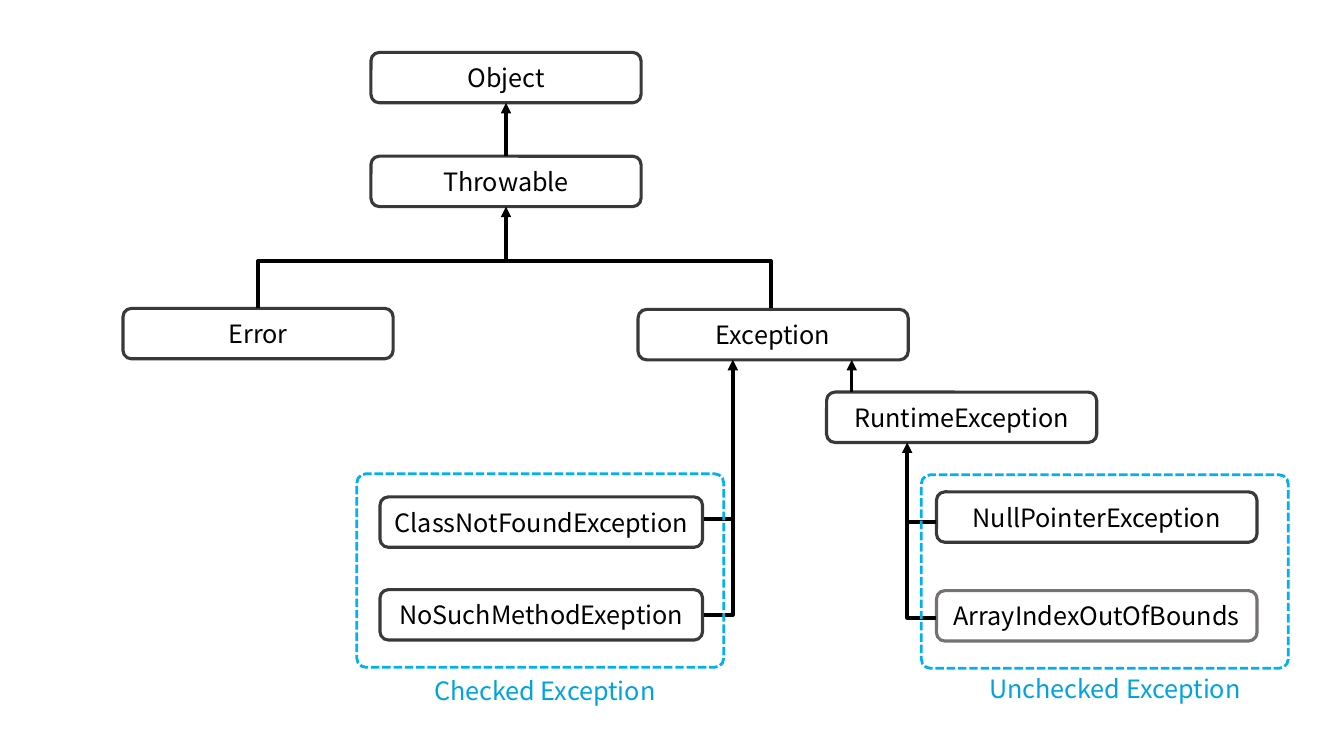
from dataclasses import dataclass

from lxml.etree import SubElement
from pptx import Presentation
from pptx.dml.color import RGBColor
from pptx.enum.dml import MSO_LINE
from pptx.enum.shapes import MSO_CONNECTOR, MSO_SHAPE
from pptx.enum.text import MSO_ANCHOR, MSO_AUTO_SIZE, PP_ALIGN
from pptx.oxml.ns import qn
from pptx.util import Inches, Pt

FONT = "Noto Sans CJK KR"
BLACK = RGBColor(0x00, 0x00, 0x00)
CHARCOAL = RGBColor(0x3B, 0x38, 0x38)
GRAY = RGBColor(0x76, 0x71, 0x71)
SKY = RGBColor(0x00, 0xB0, 0xF0)
LABEL_BLUE = RGBColor(0x00, 0xA3, 0xDF)

# Grid of square cells, ten to the inch
COLUMNS, ROWS = 133.33, 75
CLASS_WIDTH, CLASS_HEIGHT = 26.8, 5
FAMILY_WIDTH, FAMILY_HEIGHT = 36.4, 19.2
BRACKET_WIDTH, BRACKET_HEIGHT = 2.9, 9.5
TOP, BOTTOM = 0, 2


@dataclass
class Family:
    """A dashed group of classes; offsets are cells from its corner."""
    label: str
    label_box: tuple
    classes: tuple
    inset: float
    class_rows: tuple
    class_width: float
    bracket_left: float
    bracket_top: float
    opens_left: bool


CHECKED = Family(
    "Checked Exception", (6, 19.5, 25.3, 4),
    (("ClassNotFoundException", CHARCOAL), ("NoSuchMethodExeption", CHARCOAL)),
    2.3, (2.3, 11.5), 32, 34.4, 4.5, True)
UNCHECKED = Family(
    "Unchecked Exception", (4, 19.2, 30.4, 4),
    (("NullPointerException", CHARCOAL), ("ArrayIndexOutOfBounds", GRAY)),
    1.5, (1.7, 11.5), 31.8, -1.4, 4.7, False)


def cells(count):
    return Inches(count / 10)


def write(shape, text, color):
    paragraph = shape.text_frame.paragraphs[0]
    paragraph.alignment = PP_ALIGN.CENTER
    run = paragraph.add_run()
    run.text = text
    run.font.name = FONT
    run.font.size = Pt(18)
    run.font.color.rgb = color


def add_outline(slide, kind, box, color, width):
    shape = slide.shapes.add_shape(kind, *map(cells, box))
    shape.shadow.inherit = False
    shape.fill.background()
    shape.line.color.rgb = color
    shape.line.width = Pt(width)
    return shape


def add_class(slide, name, left, top, width=CLASS_WIDTH, color=CHARCOAL):
    shape = add_outline(slide, MSO_SHAPE.ROUNDED_RECTANGLE,
                        (left, top, width, CLASS_HEIGHT), color, 2.25)
    shape.text_frame.word_wrap = True
    shape.text_frame.vertical_anchor = MSO_ANCHOR.MIDDLE
    write(shape, name, BLACK)
    return shape


def add_bracket(slide, box, rotation=0):
    bracket = add_outline(slide, MSO_SHAPE.LEFT_BRACKET, box, BLACK, 2.5)
    bracket.adjustments[0] = 0
    bracket.rotation = rotation


def add_arrow(slide, x, start_y, end_y):
    """Draw a vertical inheritance arrow with its head at end_y."""
    arrow = slide.shapes.add_connector(
        MSO_CONNECTOR.STRAIGHT, cells(x), cells(start_y), cells(x), cells(end_y))
    arrow.line.color.rgb = BLACK
    arrow.line.width = Pt(2.5)
    SubElement(arrow.line._get_or_add_ln(), qn("a:tailEnd"), type="triangle")
    SubElement(arrow._element.spPr, qn("a:effectLst"))
    return arrow


def add_hierarchy(slide, left, top):
    """Place the upper classes and their arrows from the given corner."""
    root_left = left + 24.6
    middle = root_left + CLASS_WIDTH / 2
    throwable_top = top + 10.3
    throwable_bottom = throwable_top + CLASS_HEIGHT
    branch_top, branch_bottom = top + 20.7, top + 25.4
    exception_left, exception_top = left + 51.1, top + 25.5
    runtime_top = top + 33.7

    root = add_class(slide, "Object", root_left, top)
    throwable = add_class(slide, "Throwable", root_left, throwable_top)
    add_class(slide, "Error", left, branch_bottom)
    add_class(slide, "Exception", exception_left, exception_top)
    add_class(slide, "RuntimeException", left + 69.8, runtime_top)

    # Arrows up the trunk
    to_root = add_arrow(slide, middle, throwable_top, top + CLASS_HEIGHT)
    to_root.begin_connect(throwable, TOP)
    to_root.end_connect(root, BOTTOM)
    to_throwable = add_arrow(slide, middle, branch_top, throwable_bottom)
    to_throwable.end_connect(throwable, BOTTOM)

    # Fork: an upright bracket turned a quarter about its centre
    span, depth = 50.9, branch_bottom - branch_top
    fork_center_x = left + CLASS_WIDTH / 2 + span / 2
    fork_center_y = (branch_top + branch_bottom) / 2
    add_bracket(slide, (fork_center_x - depth / 2, fork_center_y - span / 2,
                        depth, span), 90)

    add_arrow(slide, left + 72.3, runtime_top, exception_top + CLASS_HEIGHT)
    return exception_top + CLASS_HEIGHT, runtime_top + CLASS_HEIGHT


def add_family(slide, left, top, family, parent_bottom):
    """Place a dashed group, its classes, bracket, arrow and label."""
    for (name, color), row in zip(family.classes, family.class_rows):
        add_class(slide, name, left + family.inset, top + row,
                  family.class_width, color)

    # Bracket and the arrow to the parent class
    bracket_left = left + family.bracket_left
    bracket_top = top + family.bracket_top
    add_bracket(slide, (bracket_left, bracket_top, BRACKET_WIDTH, BRACKET_HEIGHT),
                180 if family.opens_left else 0)
    spine = bracket_left + (BRACKET_WIDTH if family.opens_left else 0)
    add_arrow(slide, spine, bracket_top + BRACKET_HEIGHT, parent_bottom)

    # Dashed frame
    frame = add_outline(slide, MSO_SHAPE.ROUNDED_RECTANGLE,
                        (left, top, FAMILY_WIDTH, FAMILY_HEIGHT), SKY, 2)
    frame.adjustments[0] = 0.047
    frame.line.dash_style = MSO_LINE.SQUARE_DOT

    # Label under the frame
    label_left, label_top, width, height = family.label_box
    label = slide.shapes.add_textbox(
        cells(left + label_left), cells(top + label_top), cells(width), cells(height))
    label.text_frame.word_wrap = True
    label.text_frame.auto_size = MSO_AUTO_SIZE.SHAPE_TO_FIT_TEXT
    write(label, family.label, LABEL_BLUE)


def main():
    presentation = Presentation()
    presentation.slide_width = cells(COLUMNS)
    presentation.slide_height = cells(ROWS)
    slide = presentation.slides.add_slide(presentation.slide_layouts[6])
    exception_bottom, runtime_bottom = add_hierarchy(slide, 12.2, 5.2)
    add_family(slide, 35.4, 47, CHECKED, exception_bottom)
    add_family(slide, 91.4, 47.1, UNCHECKED, runtime_bottom)
    presentation.save("out.pptx")


if __name__ == "__main__":
    main()
